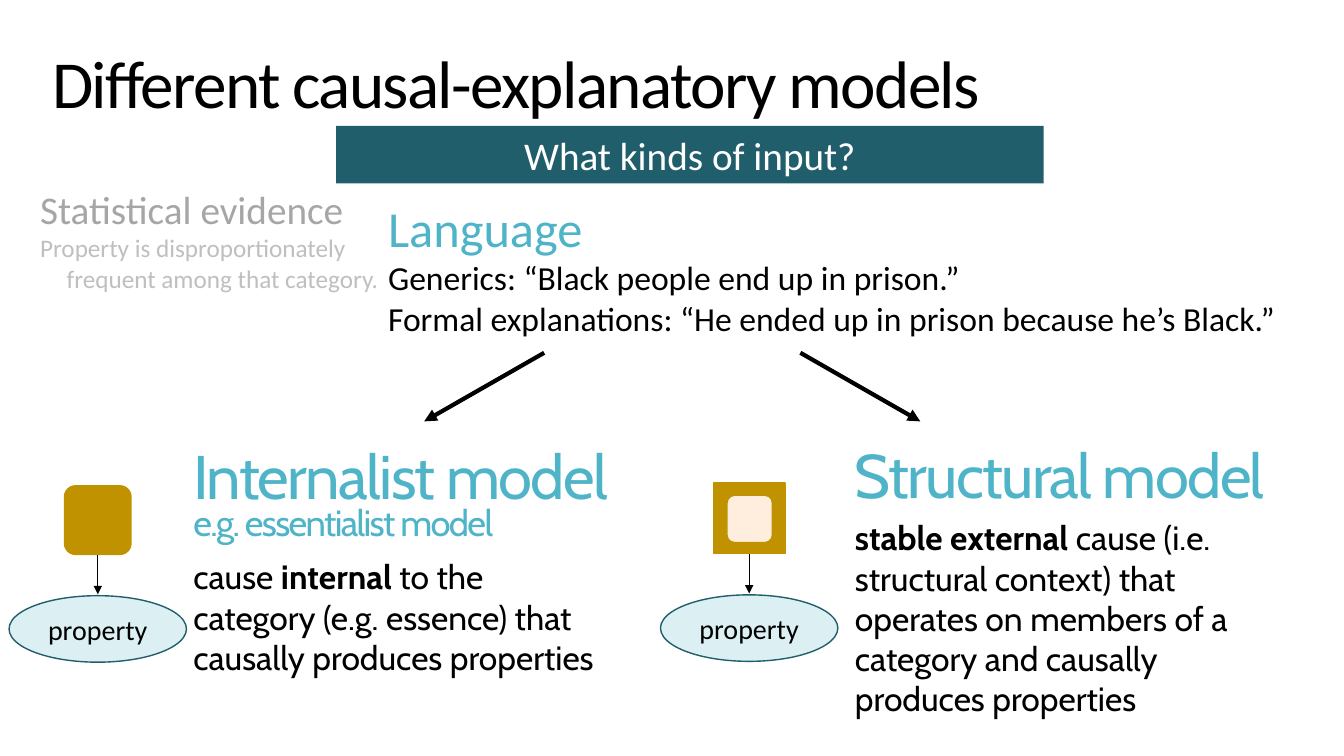
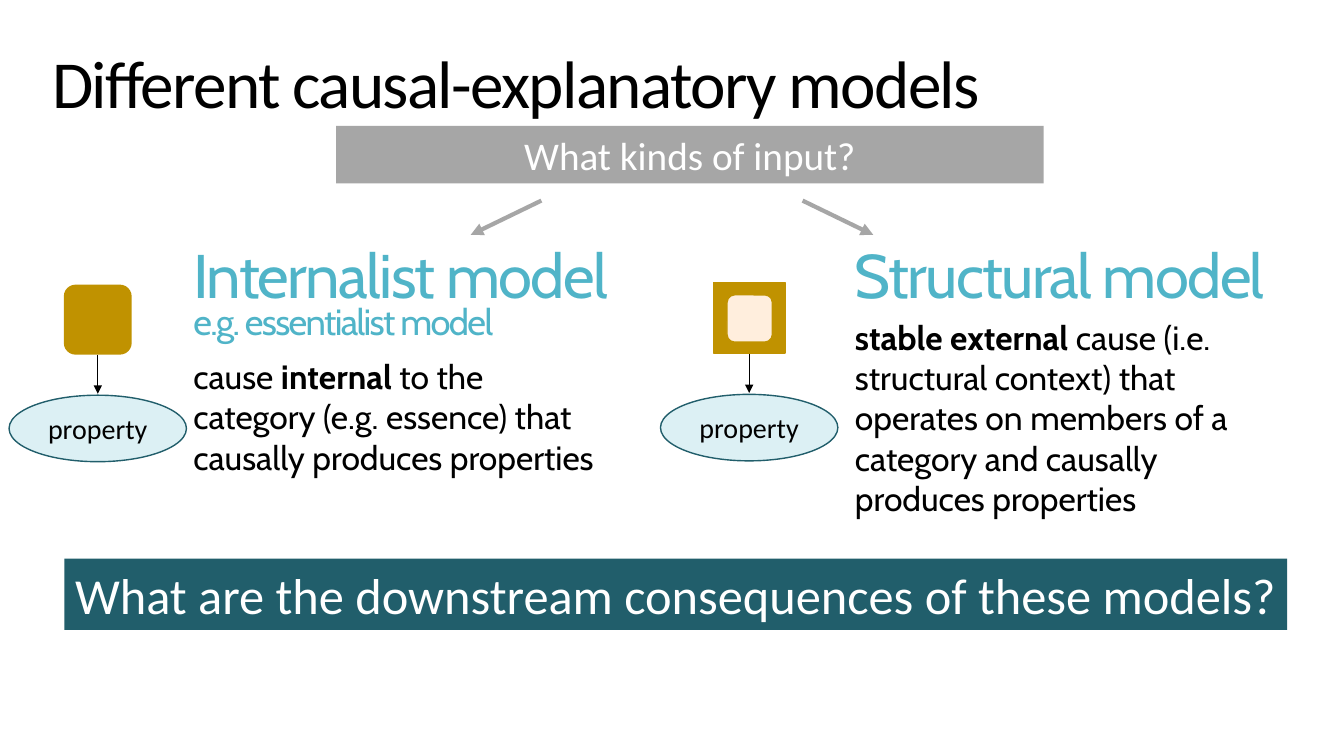
from dataclasses import dataclass
from lxml.etree import SubElement
from pptx import Presentation
from pptx.dml.color import RGBColor
from pptx.enum.shapes import MSO_CONNECTOR, MSO_SHAPE
from pptx.enum.text import MSO_ANCHOR, MSO_AUTO_SIZE, PP_ALIGN
from pptx.oxml.ns import qn
from pptx.util import Pt

RECT, ROUND, OVAL = MSO_SHAPE.RECTANGLE, MSO_SHAPE.ROUNDED_RECTANGLE, MSO_SHAPE.OVAL
LEFT, CENTER = PP_ALIGN.LEFT, PP_ALIGN.CENTER
TOP, MIDDLE = MSO_ANCHOR.TOP, MSO_ANCHOR.MIDDLE
LINE, FIXED = MSO_CONNECTOR.STRAIGHT, MSO_AUTO_SIZE.NONE


@dataclass(frozen=True)
class Theme:
    # Colours
    black: str = "000000"
    white: str = "FFFFFF"
    gray: str = "A6A6A6"
    pale: str = "BFBFBF"
    teal: str = "215E6B"
    aqua: str = "50B4C8"
    mist: str = "DCF0F4"
    gold: str = "C09200"
    cream: str = "FFEEDD"
    # Fonts
    sans: str = "Calibri"
    soft: str = "Cabin"
    # Type sizes
    title: int = 48
    head: int = 44
    large: int = 36
    mid: int = 28
    sub: int = 26
    body: int = 24
    label: int = 20
    small: int = 18
    tight: float = -1.2


T = Theme()


@dataclass(frozen=True)
class Model:
    """Boxes are (x, y, width, height) from the region's corner."""
    head: list
    headbox: tuple
    lead: float
    body: list
    bodybox: tuple
    icon: tuple
    core: tuple = ()


INNER = Model(
    head=[[("Internalist model", {})],
          [("e.g. essentialist model", {"size": T.sub})]],
    headbox=(124.5, 7.2, 327, 76.3), lead=0.75,
    body=[[("cause ", {}), ("internal ", {"bold": True}),
           ("to the category (e.g. essence) that causally produces properties", {})]],
    bodybox=(124.5, 82.8, 310.3, 94.3),
    icon=(39.6, 36, 47.5, 49))
OUTER = Model(
    head=[[("Structural model", {})]],
    headbox=(131.8, 0, 355.7, 64), lead=0.85,
    body=[[("stable external ", {"bold": True}),
           ("cause (i.e. structural context) that operates on members of a "
            "category and causally produces properties", {})]],
    bodybox=(131.8, 54.8, 311, 152.6),
    icon=(38, 34, 51, 50.4), core=(47.5, 42.8, 32.4, 33.8))


def rgb(code):
    return RGBColor.from_string(code)


def pts(box):
    return [Pt(v) for v in box]


def shift(box, x, y):
    return (box[0] + x, box[1] + y, *box[2:])


# Text: each line is a list of (words, changes) runs
def write(shape, lines, size=T.body, font=T.sans, color=T.black, bold=False,
          track=0, align=LEFT, anchor=TOP, lead=1, hang=0, wrap=True):
    frame = shape.text_frame
    frame.auto_size, frame.word_wrap = FIXED, wrap
    frame.vertical_anchor = anchor
    for i, runs in enumerate(lines):
        para = frame.add_paragraph() if i else frame.paragraphs[0]
        para.alignment, para.line_spacing = align, lead
        para.space_before = Pt(0)
        if hang:
            props = para._p.get_or_add_pPr()
            props.set("marL", str(Pt(hang)))
            props.set("indent", str(-Pt(hang)))
            SubElement(props, qn("a:buNone"))
        for words, diff in runs:
            run = para.add_run()
            run.text = words
            face = run.font
            face.name = font
            face.size = Pt(diff.get("size", size))
            face.bold = diff.get("bold", bold)
            face.color.rgb = rgb(diff.get("color", color))
            if track:
                run._r.get_or_add_rPr().set("spc", str(round(track * 100)))


def note(slide, box, lines, **style):
    write(slide.shapes.add_textbox(*pts(box)), lines, **style)


def block(slide, kind, box, fill, edge=None):
    shape = slide.shapes.add_shape(kind, *pts(box))
    shape.shadow.inherit = False
    shape.fill.solid()
    shape.fill.fore_color.rgb = rgb(fill)
    if edge:
        shape.line.color.rgb = rgb(edge)
        shape.line.width = Pt(1)
    else:
        shape.line.fill.background()
    return shape


def arrow(slide, ends, color=T.black, width=0.75):
    link = slide.shapes.add_connector(LINE, *pts(ends))
    link.line.color.rgb = rgb(color)
    link.line.width = Pt(width)
    props = link.element.spPr
    SubElement(props.find(qn("a:ln")), qn("a:tailEnd"), type="triangle")
    SubElement(props, qn("a:effectLst"))


# Colour band with one centred line
def band(slide, box, words, fill, size):
    write(block(slide, RECT, box, fill), [[(words, {})]], size=size,
          color=T.white, align=CENTER, anchor=MIDDLE, wrap=False)


# Two arrows that spread from the middle of the box, gap apart at the top
def fork(slide, box, gap, color):
    x, y, w, h = box
    mid = x + w / 2
    for side in (-1, 1):
        arrow(slide, (mid + side * gap / 2, y, mid + side * w / 2, y + h), color, 3)


# One model: icon, arrow and property at left, heading and text at right
def model(slide, x, y, kind):
    icon = shift(kind.icon, x, y)
    block(slide, RECT if kind.core else ROUND, icon, T.gold, T.gold)
    if kind.core:
        block(slide, ROUND, shift(kind.core, x, y), T.cream, T.gold)
    base, mid = icon[1] + icon[3], x + 63.35
    oval = block(slide, OVAL, (x, base + 29.5, 126.7, 47.5), T.mist, T.teal)
    write(oval, [[("property", {})]], size=T.label, align=CENTER,
          anchor=MIDDLE, wrap=False)
    arrow(slide, (mid, base + 0.5, mid, base + 28.5))
    note(slide, shift(kind.headbox, x, y), kind.head, size=T.head, font=T.soft,
         color=T.aqua, track=T.tight, anchor=MIDDLE, lead=kind.lead)
    note(slide, shift(kind.bodybox, x, y), kind.body, font=T.soft)


def place(shape, box):
    shape.left, shape.top, shape.width, shape.height = pts(box)


# Shared frame: title, input band, both models
def base(deck, layout, fill, top):
    slide = deck.slides.add_slide(deck.slide_layouts[layout])
    title = slide.shapes.title
    place(title, (30, 0, 751, 116))
    write(title, [[("Different causal-explanatory models", {})]],
          size=T.title, track=T.tight, anchor=MIDDLE)
    band(slide, (240, 90, 505.4, 41), "What kinds of input?", fill, T.mid)
    model(slide, 6.5, top, INNER)
    model(slide, 471.8, top, OUTER)
    return slide


# Evidence and language above the models
def inputs(deck):
    slide = base(deck, 1, T.teal, 311)
    note(slide, (21.6, 129, 261.4, 85),
         [[("Statistical evidence", {"size": T.mid, "color": T.gray})],
          [("Property is disproportionately frequent among that category.", {})]],
         size=T.small, color=T.pale, hang=19)
    talk = slide.placeholders[1]
    place(talk, (270, 137, 653, 109))
    write(talk,
          [[("Language", {"size": T.large, "color": T.aqua})],
           [("Generics: “Black people end up in prison.”", {})],
           [("Formal explanations: “He ended up in prison because he’s Black.”", {})]],
          hang=19)
    fork(slide, (303, 252, 354.4, 49), 183, T.black)


# Consequences below the models
def effects(deck):
    slide = base(deck, 5, T.gray, 167.8)
    fork(slide, (336.2, 143.3, 287.6, 24.5), 186.6, T.gray)
    band(slide, (46, 399, 873.4, 51),
         "What are the downstream consequences of these models?", T.teal, T.large)


deck = Presentation()
deck.slide_width, deck.slide_height = Pt(960), Pt(540)
inputs(deck)
effects(deck)
deck.save("out.pptx")
